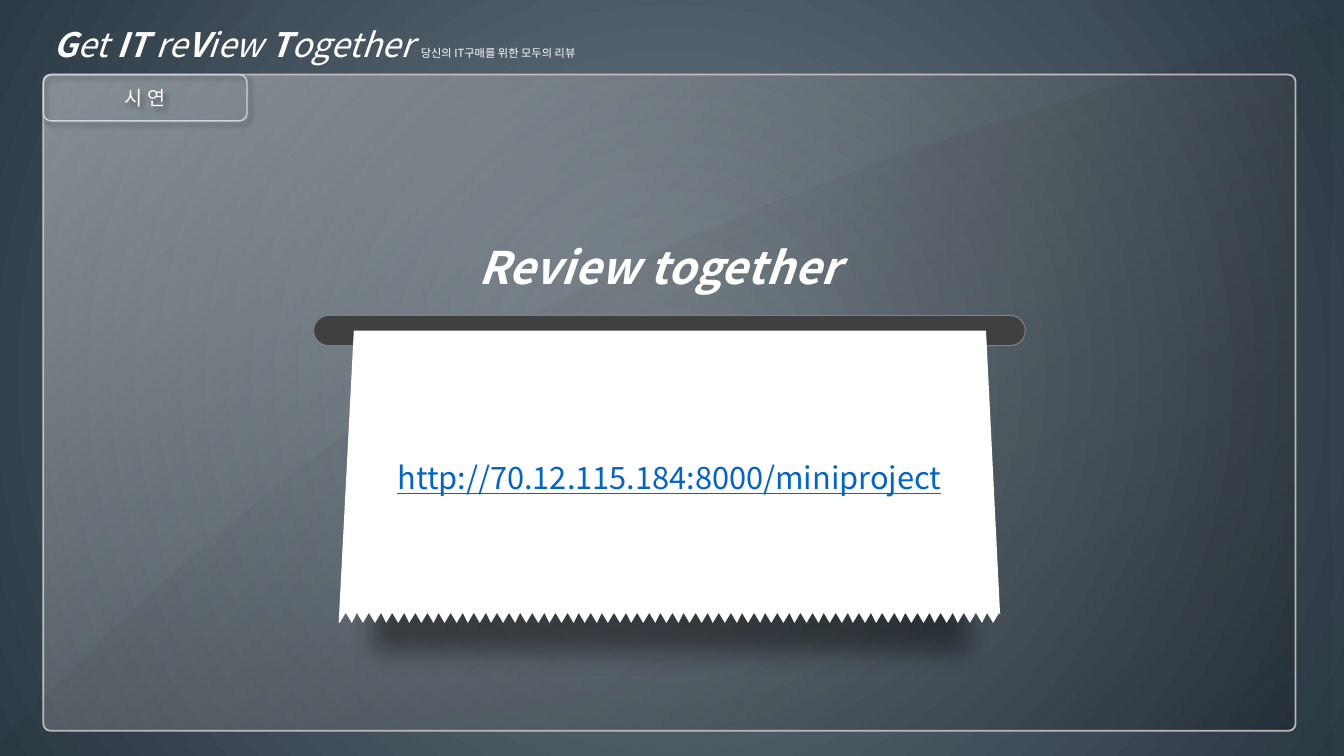
from dataclasses import dataclass
from typing import Optional

from lxml import etree
from pptx import Presentation
from pptx import util as u
from pptx.dml.color import RGBColor
from pptx.enum import shapes, text
from pptx.oxml import parse_xml
from pptx.oxml.ns import qn

PX = 9144  # EMU per px, 100 px to the inch
NS = 'xmlns:a="http://schemas.openxmlformats.org/drawingml/2006/main"'
SANS, SERIF = "Noto Sans CJK KR", "TeX Gyre Schola"

WHITE = RGBColor(0xFF, 0xFF, 0xFF)
BLACK = RGBColor(0x00, 0x00, 0x00)
SLATE = RGBColor(0x6E, 0x7C, 0x87)
NAVY = RGBColor(0x2C, 0x3A, 0x45)
SILVER = RGBColor(0xBF, 0xBF, 0xBF)
MIST = RGBColor(0xCC, 0xD6, 0xDE)
COAL = RGBColor(0x40, 0x40, 0x40)
GREY = RGBColor(0x80, 0x80, 0x80)
BLUE = RGBColor(0x05, 0x63, 0xC1)


@dataclass
class Box:
    x: int
    y: int
    w: int
    h: int
    round: float
    edge: RGBColor
    width: float
    fill: Optional[RGBColor] = None


PANEL = Box(43, 74, 1242, 651, 0.011, SILVER, 1.25, WHITE)
SLOT = Box(311, 313, 706, 30, 0.5, GREY, 0.75, COAL)
TAB = Box(43, 74, 202, 46, 0.167, MIST, 1)


def px(*vals: int) -> list:
    return [u.Emu(v * PX) for v in vals]


def tint(color: RGBColor, alpha: int = 100) -> str:
    return f'<a:srgbClr val="{color}"><a:alpha val="{alpha * 1000}"/></a:srgbClr>'


def blend(props, start: str, end: str, way: str) -> None:
    """Swap the solid fill in props for a two-stop gradient."""
    old = props.find(qn("a:solidFill"))
    props.replace(old, parse_xml(
        f'<a:gradFill {NS} rotWithShape="1"><a:gsLst><a:gs pos="0">{start}</a:gs>'
        f'<a:gs pos="100000">{end}</a:gs></a:gsLst>{way}</a:gradFill>'))


def shade(shape, blur: int, dist: int, angle: int, more: str = "") -> None:
    effects = shape._element.spPr.find(qn("a:effectLst"))
    effects.append(parse_xml(
        f'<a:outerShdw {NS} blurRad="{u.Pt(blur)}" dist="{u.Pt(dist)}" '
        f'dir="{angle * 60000}" {more} rotWithShape="0">{tint(BLACK, 40)}</a:outerShdw>'))


def draw(slide, box: Box):
    shape = slide.shapes.add_shape(shapes.MSO_SHAPE.ROUNDED_RECTANGLE,
                                   *px(box.x, box.y, box.w, box.h))
    shape.adjustments[0] = box.round
    shape.shadow.inherit = False
    if box.fill is None:
        shape.fill.background()
    else:
        shape.fill.solid()
        shape.fill.fore_color.rgb = box.fill
    shape.line.color.rgb = box.edge
    shape.line.width = u.Pt(box.width)
    return shape


def trace(slide, points: list, fill: RGBColor):
    pen = slide.shapes.build_freeform(*points[0], scale=PX)
    pen.add_line_segments(points[1:], close=True)
    shape = pen.convert_to_shape()
    shape.shadow.inherit = False
    shape.fill.solid()
    shape.fill.fore_color.rgb = fill
    shape.line.fill.background()
    return shape


def write(shape, words: str, size: int, font: str = SANS, color: RGBColor = WHITE,
          bold: bool = False, slant: bool = False, under: bool = False,
          align=text.PP_ALIGN.CENTER, anchor=text.MSO_ANCHOR.MIDDLE,
          space: float = 1) -> None:
    """Add one run to the first paragraph of shape."""
    frame = shape.text_frame
    frame.word_wrap = True
    frame.auto_size = text.MSO_AUTO_SIZE.NONE
    frame.vertical_anchor = anchor
    para = frame.paragraphs[0]
    para.alignment, para.line_spacing = align, space
    run = para.add_run()
    run.text = words
    face = run.font
    face.name, face.size, face.color.rgb = font, u.Pt(size), color
    face.bold, face.italic, face.underline = bold, slant, under
    latin = face._element.find(qn("a:latin"))
    east = etree.Element(qn("a:ea"), typeface=font)
    latin.addnext(east)


def curve(a: tuple, b: tuple, c: tuple, d: tuple, steps: int = 40) -> list:
    """Points along a cubic Bezier curve."""
    out = []
    for i in range(steps + 1):
        t = i / steps
        s = 1 - t
        out.append(tuple(round(s**3 * p + 3 * s * s * t * q + 3 * s * t * t * r + t**3 * e)
                         for p, q, r, e in zip(a, b, c, d)))
    return out


def main() -> None:
    deck = Presentation()
    deck.slide_width, deck.slide_height = px(1333, 750)
    slide = deck.slides.add_slide(deck.slide_layouts[5])

    # Background
    slide.background.fill.solid()
    blend(slide._element.cSld.bg.bgPr, tint(SLATE), tint(NAVY),
          '<a:path path="circle"><a:fillToRect l="50000" t="50000" '
          'r="50000" b="50000"/></a:path>')

    # Glass panel and its sheen
    panel = draw(slide, PANEL)
    blend(panel._element.spPr, tint(WHITE, 42), tint(BLACK, 18),
          '<a:lin ang="2700000" scaled="0"/>')
    arc = curve((1321, 15), (785, 190), (449, 254), (-12, 750))
    sheen = trace(slide, [(1321, 750)] + arc, BLACK)
    solid = sheen._element.spPr.find(qn("a:solidFill"))
    solid.replace(solid[0], parse_xml(tint(BLACK, 3).replace(" ", f" {NS} ", 1)))

    # Heading
    head = slide.shapes.title
    head.left, head.top, head.width, head.height = px(43, -1, 880, 63)
    left = dict(align=text.PP_ALIGN.LEFT, anchor=text.MSO_ANCHOR.TOP, space=1.5)
    parts = ["G", "et", " IT ", "re", "V", "iew", " T", "ogether "]
    for i, part in enumerate(parts):
        write(head, part, 24, bold=i % 2 == 0, slant=True, **left)
    write(head, "당신의 IT구매를 위한 모두의 리뷰", 8, **left)

    # Slot and torn paper
    draw(slide, SLOT)
    teeth = 113
    torn = [(round(991 - i * 654 / teeth), 618 if i % 2 else 608)
            for i in range(teeth + 1)]
    paper = trace(slide, [(351, 328), (978, 328), (992, 610)] + torn + [(336, 617)], WHITE)
    shade(paper, 18, 44, 90, 'sx="90000" sy="90000" algn="t"')
    write(paper, "http://70.12.115.184:8000/miniproject", 22, color=BLUE, under=True)

    # Caption
    note = slide.shapes.add_textbox(*px(359, 206, 590, 80))
    write(note, "Review together", 32, bold=True, slant=True,
          anchor=text.MSO_ANCHOR.TOP, space=1.5)

    # Tab
    tab = draw(slide, TAB)
    shade(tab, 4, 3, 45, 'algn="tl"')
    write(tab, "시 연", 14, font=SERIF)

    deck.save("out.pptx")


if __name__ == "__main__":
    main()
